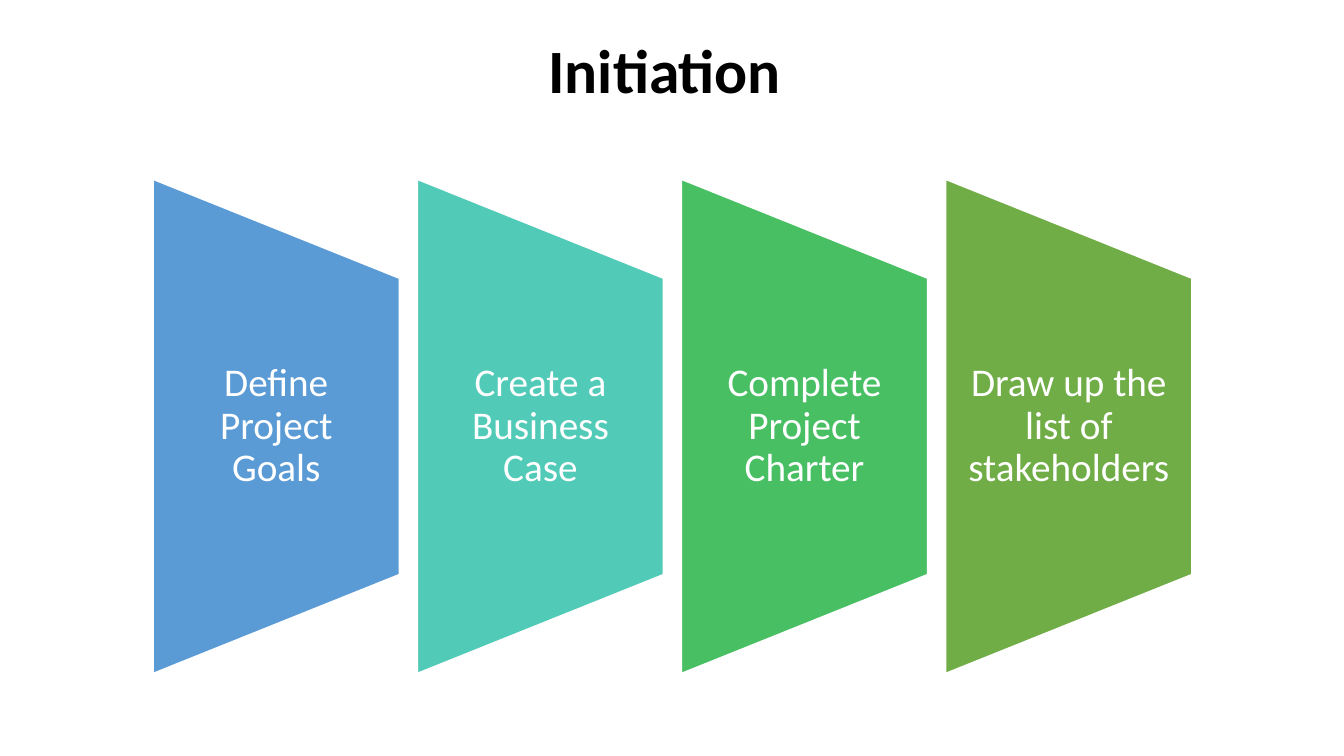
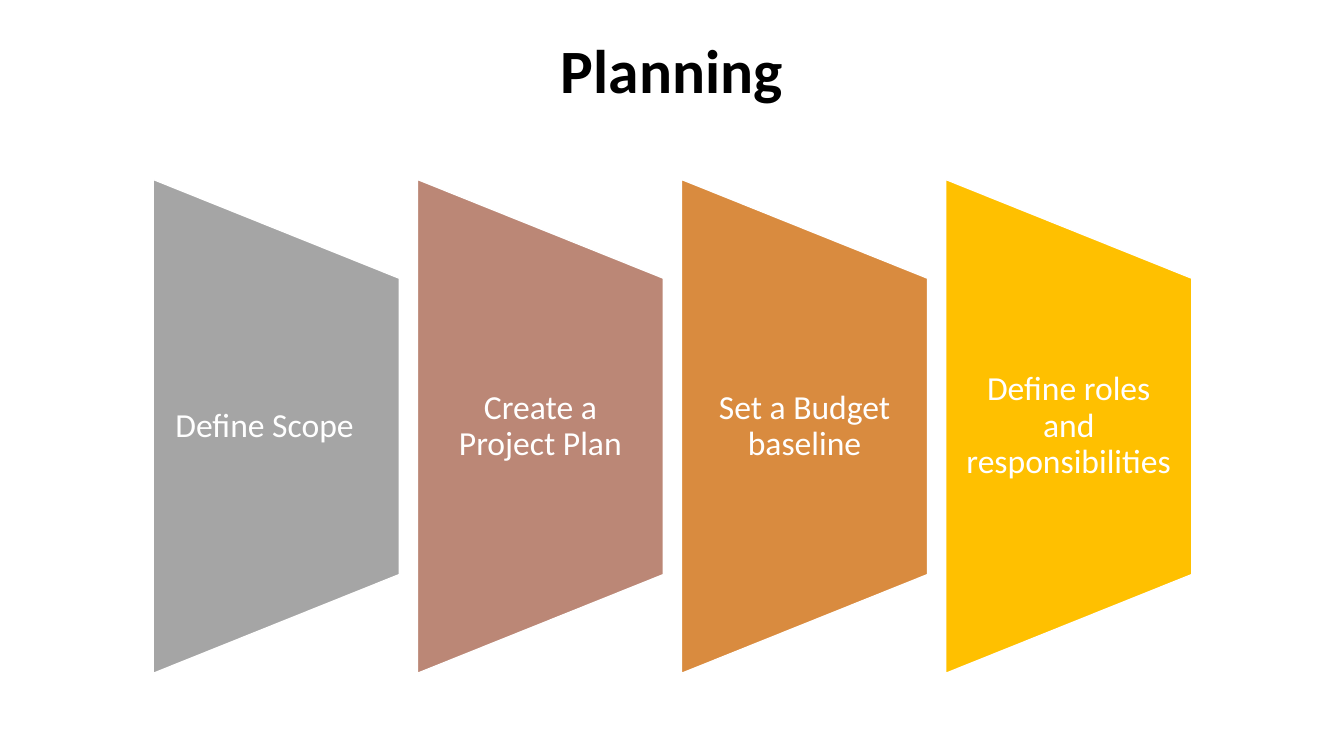
from pptx import Presentation
from pptx.dml.color import RGBColor
from pptx.enum.shapes import MSO_SHAPE as Shape
from pptx.enum.text import MSO_ANCHOR as Anchor, PP_ALIGN as Align
from pptx.util import Inches, Pt

WIDTH, HEIGHT = 13.33, 7.5
FONT = "Calibri"
BLACK, WHITE = "000000", "FFFFFF"
TITLE_BOX = (0, 0, WIDTH, 1.45)
STEPS_BOX = (1.52, 1.78, 10.3, 4.9)
STEP_GAP = 0.18
SIDE_SHARE = 0.2  # share of a step's height taken by each slanted side

SLIDES = [
    ("Initiation ", 28, 0.19, [
        ("Define Project Goals", "5B9BD5"),
        ("Create a Business Case", "52CAB8"),
        ("Complete Project Charter", "49BF64"),
        ("Draw up the list of stakeholders", "70AD47"),
    ]),
    ("Planning", 24, 0.17, [
        ("Define Scope \t", "A5A5A5"),
        ("Create a Project Plan", "BB8776"),
        ("Set a Budget baseline", "D98B3F"),
        ("Define roles and responsibilities", "FFC000"),
    ]),
]


def color(value):
    """Turn a hex string into a colour."""
    return RGBColor.from_string(value)


def add_text(slide, box, text, size, text_color, bold=False, inset=(0.1, 0.05)):
    """Add centred text in the middle of the box."""
    shape = slide.shapes.add_textbox(*map(Inches, box))
    frame = shape.text_frame
    frame.word_wrap = True
    frame.vertical_anchor = Anchor.MIDDLE
    frame.margin_left = frame.margin_right = Inches(inset[0])
    frame.margin_top = frame.margin_bottom = Inches(inset[1])
    paragraph = frame.paragraphs[0]
    paragraph.alignment = Align.CENTER
    paragraph.line_spacing = 0.9
    run = paragraph.add_run()
    run.text = text
    run.font.name = FONT
    run.font.size = Pt(size)
    run.font.bold = bold
    run.font.color.rgb = color(text_color)


def add_step(slide, box, text, fill, size, inset):
    """Fill the box with a trapezoid narrowing to the right, with its label."""
    left, top, width, height = box
    # The shape is laid flat around the box's centre, then turned upright.
    flat_left = left + (width - height) / 2
    flat_top = top + (height - width) / 2
    shape = slide.shapes.add_shape(
        Shape.FLOWCHART_MANUAL_OPERATION,
        *map(Inches, (flat_left, flat_top, height, width)))
    shape.rotation = 270
    shape.shadow.inherit = False
    shape.fill.solid()
    shape.fill.fore_color.rgb = color(fill)
    shape.line.color.rgb = color(WHITE)
    shape.line.width = Pt(1)
    label_box = (left, top + SIDE_SHARE * height,
                 width, (1 - 2 * SIDE_SHARE) * height)
    add_text(slide, label_box, text, size, WHITE, inset=(inset, 0))


def add_steps(slide, box, steps, size, inset):
    """Spread the steps over equal columns of the box."""
    left, top, width, height = box
    step_width = (width - STEP_GAP * (len(steps) - 1)) / len(steps)
    for column, (text, fill) in enumerate(steps):
        step_left = left + column * (step_width + STEP_GAP)
        add_step(slide, (step_left, top, step_width, height),
                 text, fill, size, inset)


def add_phase_slide(presentation, title, size, inset, steps):
    """Add a slide with a title above a row of steps."""
    slide = presentation.slides.add_slide(presentation.slide_layouts[6])
    add_text(slide, TITLE_BOX, title, 44, BLACK, bold=True)
    add_steps(slide, STEPS_BOX, steps, size, inset)


def main():
    """Build and save the presentation."""
    presentation = Presentation()
    presentation.slide_width = Inches(WIDTH)
    presentation.slide_height = Inches(HEIGHT)
    for phase in SLIDES:
        add_phase_slide(presentation, *phase)
    presentation.save("out.pptx")


main()
